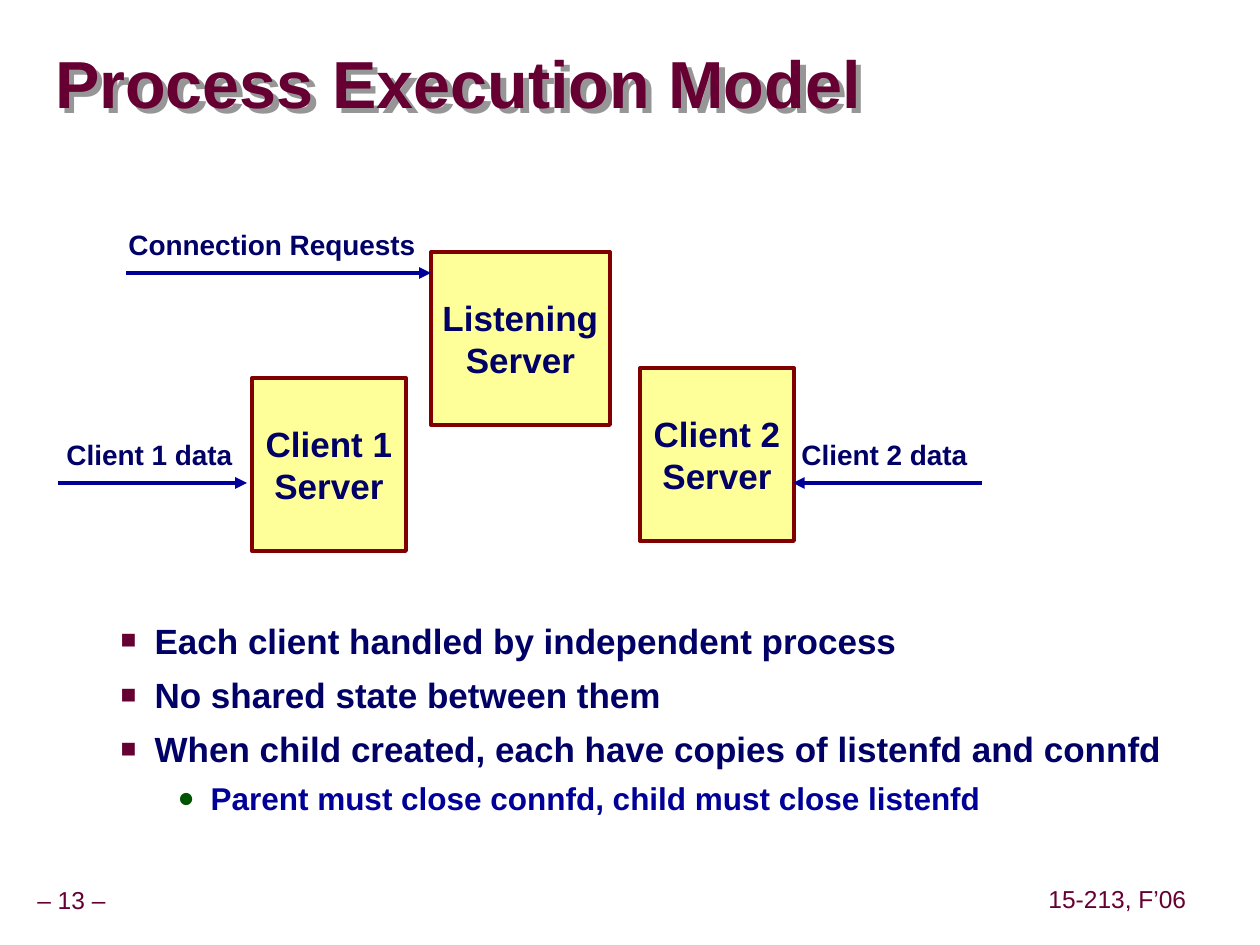
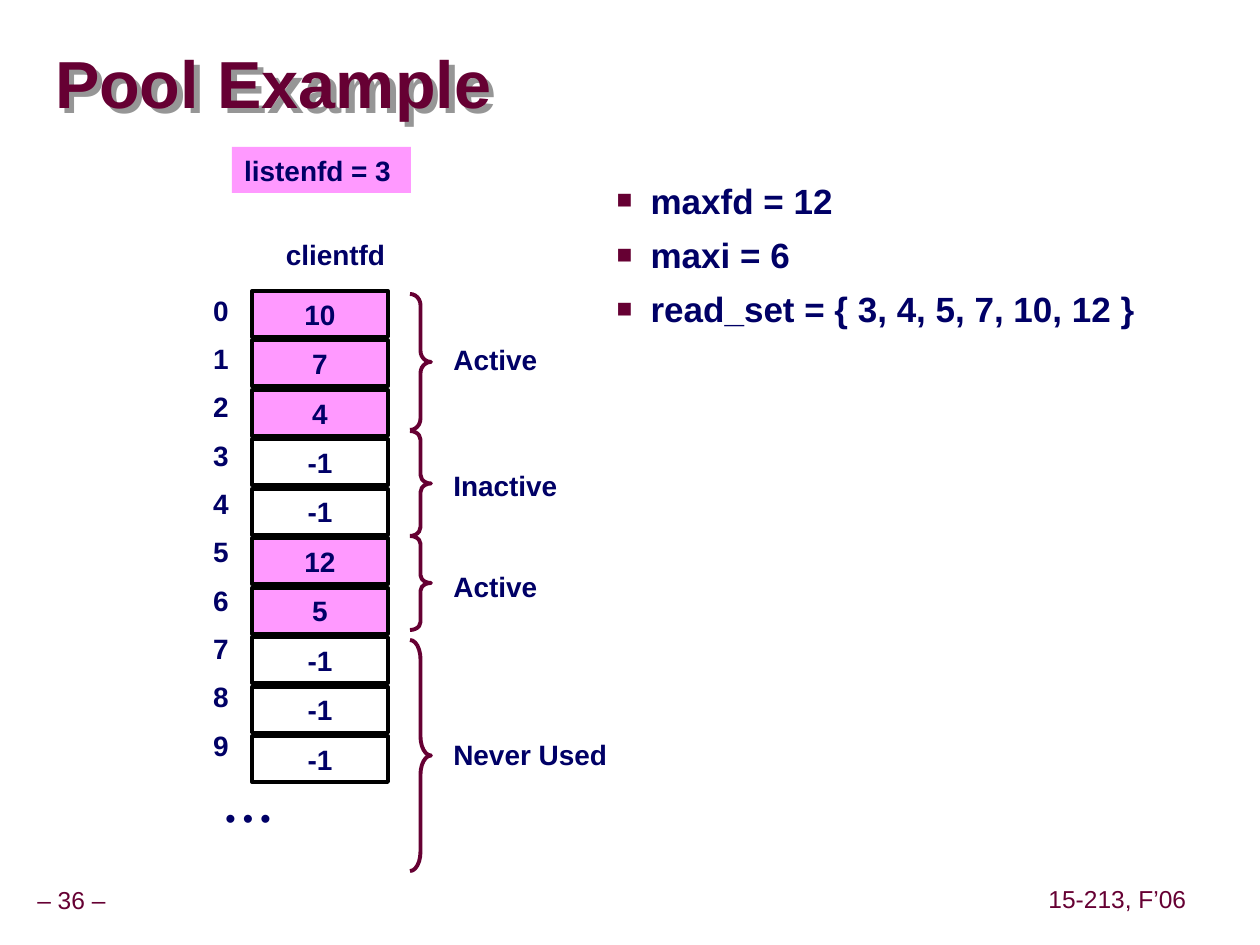
from lxml import etree
from pptx import Presentation
from pptx.dml.color import RGBColor
from pptx.enum.shapes import MSO_CONNECTOR, MSO_SHAPE
from pptx.enum.text import MSO_ANCHOR, MSO_AUTO_SIZE, PP_ALIGN
from pptx.oxml.ns import qn
from pptx.util import Pt

RECT = MSO_SHAPE.RECTANGLE
BRACE = MSO_SHAPE.RIGHT_BRACE
STRAIGHT = MSO_CONNECTOR.STRAIGHT
LEFT, MID, RIGHT = PP_ALIGN.LEFT, PP_ALIGN.CENTER, PP_ALIGN.RIGHT
TOP, CENTER = MSO_ANCHOR.TOP, MSO_ANCHOR.MIDDLE
FIXED = MSO_AUTO_SIZE.NONE

SCALE = 914400 / 126
FONT = "Arial"
WINE, NAVY, BLUE = "660033", "000066", "000099"
GREEN, GRAY, BLACK, WHITE = "005400", "969696", "000000", "FFFFFF"
YELLOW, BROWN, PINK = "FFFF99", "800000", "FF99FF"
ROW = 46
LEVELS = {
    1: dict(indent=102, hang=34, mark="■", tint=WINE, ratio=75,
            size=20, color=NAVY, before=7, spacing=1),
    2: dict(indent=158, hang=33, mark="●", tint=GREEN, ratio=90,
            size=18, color=BLUE, before=4, spacing=1.07),
}


def px(n):
    return round(n * SCALE)


def rgb(code):
    return RGBColor.from_string(code)


def node(parent, tag, **attrs):
    item = etree.SubElement(parent, qn(tag))
    for key, value in attrs.items():
        item.set(key, str(value))
    return item


def place(shape, box):
    shape.left, shape.top, shape.width, shape.height = map(px, box)


def style(par, size, color, bold=True, align=LEFT, spacing=1):
    par.alignment = align
    par.line_spacing = spacing
    font = par.font
    font.name, font.size, font.bold = FONT, Pt(size), bold
    font.color.rgb = rgb(color)


def write(shape, text, size=16, color=NAVY, anchor=TOP, wrap=True, **look):
    frame = shape.text_frame
    frame.text = text
    frame.auto_size = FIXED
    frame.word_wrap = wrap
    frame.vertical_anchor = anchor
    for par in frame.paragraphs:
        style(par, size, color, **look)


def label(slide, box, text, **look):
    write(slide.shapes.add_textbox(*map(px, box)), text, **look)


def block(slide, box, text, fill, edge=None, **look):
    shape = slide.shapes.add_shape(RECT, *map(px, box))
    shape.shadow.inherit = False
    shape.fill.solid()
    shape.fill.fore_color.rgb = rgb(fill)
    if edge:
        shape.line.color.rgb = rgb(edge)
        shape.line.width = Pt(2.25)
    else:
        shape.line.fill.background()
    write(shape, text, align=MID, **look)


def arrow(slide, start, end, y):
    line = slide.shapes.add_connector(STRAIGHT, px(start), px(y), px(end), px(y))
    line.line.color.rgb = rgb(BLUE)
    line.line.width = Pt(2.25)
    props = line._element.spPr
    node(props.find(qn("a:ln")), "a:tailEnd", type="triangle")
    node(props, "a:effectLst")


def brace(slide, box):
    shape = slide.shapes.add_shape(BRACE, *map(px, box))
    shape.adjustments[0] = box[3] / 12 / box[2]
    shape.shadow.inherit = False
    shape.fill.background()
    shape.line.color.rgb = rgb(WINE)
    shape.line.width = Pt(2.25)


def head(slide, text):
    title = slide.shapes.title
    place(title, (55, 34, 1201, 107))
    write(title, text, size=38, color=WINE, anchor=CENTER, spacing=0.87)
    frame = title.text_frame
    frame.margin_left = frame.margin_top = 0
    frame.margin_right = frame.margin_bottom = 0
    effects = node(title._element.spPr, "a:effectLst")
    shadow = node(effects, "a:outerShdw", dist=px(8), dir=2700000, algn="ctr")
    node(shadow, "a:srgbClr", val=GRAY)


def foot(slide, page):
    look = dict(size=14, color=WINE, bold=False, align=MID,
                anchor=CENTER, wrap=False, spacing=0.9)
    label(slide, (-11, 882, 165, 39), f"– {page} –", **look)
    label(slide, (1042, 881, 151, 39), "15-213, F’06", **look)


def points(slide, box, items):
    body = slide.placeholders[1]
    place(body, box)
    frame = body.text_frame
    frame.auto_size = FIXED
    frame.margin_top = px(10)
    frame.text = "\n".join(text for _, text in items)
    for i, (par, (level, _)) in enumerate(zip(frame.paragraphs, items)):
        rule = LEVELS[level]
        par.level = level
        props = par._p.get_or_add_pPr()
        props.set("marL", str(px(rule["indent"])))
        props.set("indent", str(-px(rule["hang"])))
        node(node(props, "a:buClr"), "a:srgbClr", val=rule["tint"])
        node(props, "a:buSzPct", val=rule["ratio"] * 1000)
        node(props, "a:buFont", typeface=FONT)
        node(props, "a:buChar", char=rule["mark"])
        par.space_before = Pt(rule["before"] if i else 0)
        style(par, rule["size"], rule["color"], spacing=rule["spacing"])


def flow(slide, x, y):
    servers = [("Client 1", 194, 126, 154), ("Client 2", 582, 116, 154),
               ("Listening", 373, 0, 179)]
    for name, dx, dy, width in servers:
        block(slide, (x + dx, y + dy, width, 173), f"{name}\nServer", YELLOW,
              BROWN, size=20, anchor=CENTER, wrap=False)
    inputs = [("Connection Requests", 58, 312, -31, 68, 373, 21),
              ("Client 1 data", -5, 192, 179, 0, 189, 231),
              ("Client 2 data", 730, 192, 179, 924, 735, 231)]
    for text, dx, width, dy, start, end, level in inputs:
        arrow(slide, x + start, x + end, y + level)
        label(slide, (x + dx, y + dy, width, ROW), text, align=RIGHT, wrap=False)


def pool(slide, x, y):
    block(slide, (x - 20, y - 144, 179, ROW), "listenfd = 3 ", PINK, wrap=False)
    label(slide, (x + 21, y - 60, 125, ROW), "clientfd", align=MID, wrap=False)
    for i, value in enumerate([10, 7, 4, -1, -1, 12, 5, -1, -1, -1]):
        fill = WHITE if value < 0 else PINK
        block(slide, (x, y + i * 445 / 9, 136, ROW), str(value), fill, BLACK,
              anchor=CENTER)
        label(slide, (x - 147, y - 4 + i * 435 / 9, 136, ROW), str(i),
              align=RIGHT, anchor=CENTER)
    label(slide, (x - 105, y + 503, 136, ROW), "• • •", align=RIGHT,
          anchor=CENTER)
    spans = [("Active", 3, 136, 45, 108), ("Inactive", 140, 105, 171, 129),
             ("Active", 245, 94, 272, 108), ("Never Used", 349, 231, 440, 179)]
    for text, start, height, dy, width in spans:
        brace(slide, (x + 158, y + start, 21, height))
        label(slide, (x + 189, y + dy, width, ROW), text, wrap=False)


def page(deck, title, number, box, items):
    slide = deck.slides.add_slide(deck.slide_layouts[1])
    foot(slide, number)
    head(slide, title)
    points(slide, box, items)
    return slide


def main():
    deck = Presentation()
    deck.slide_width, deck.slide_height = px(1260), px(945)
    model = page(deck, "Process Execution Model", 13, (40, 609, 1145, 278), [
        (1, "Each client handled by independent process"),
        (1, "No shared state between them"),
        (1, "When child created, each have copies of listenfd and connfd"),
        (2, "Parent must close connfd, child must close listenfd"),
    ])
    flow(model, 58, 252)
    sample = page(deck, "Pool Example", 36, (536, 169, 649, 719), [
        (1, "maxfd = 12"),
        (1, "maxi = 6"),
        (1, "read_set = { 3, 4, 5, 7, 10, 12 }"),
    ])
    pool(sample, 252, 291)
    deck.save("out.pptx")


if __name__ == "__main__":
    main()
